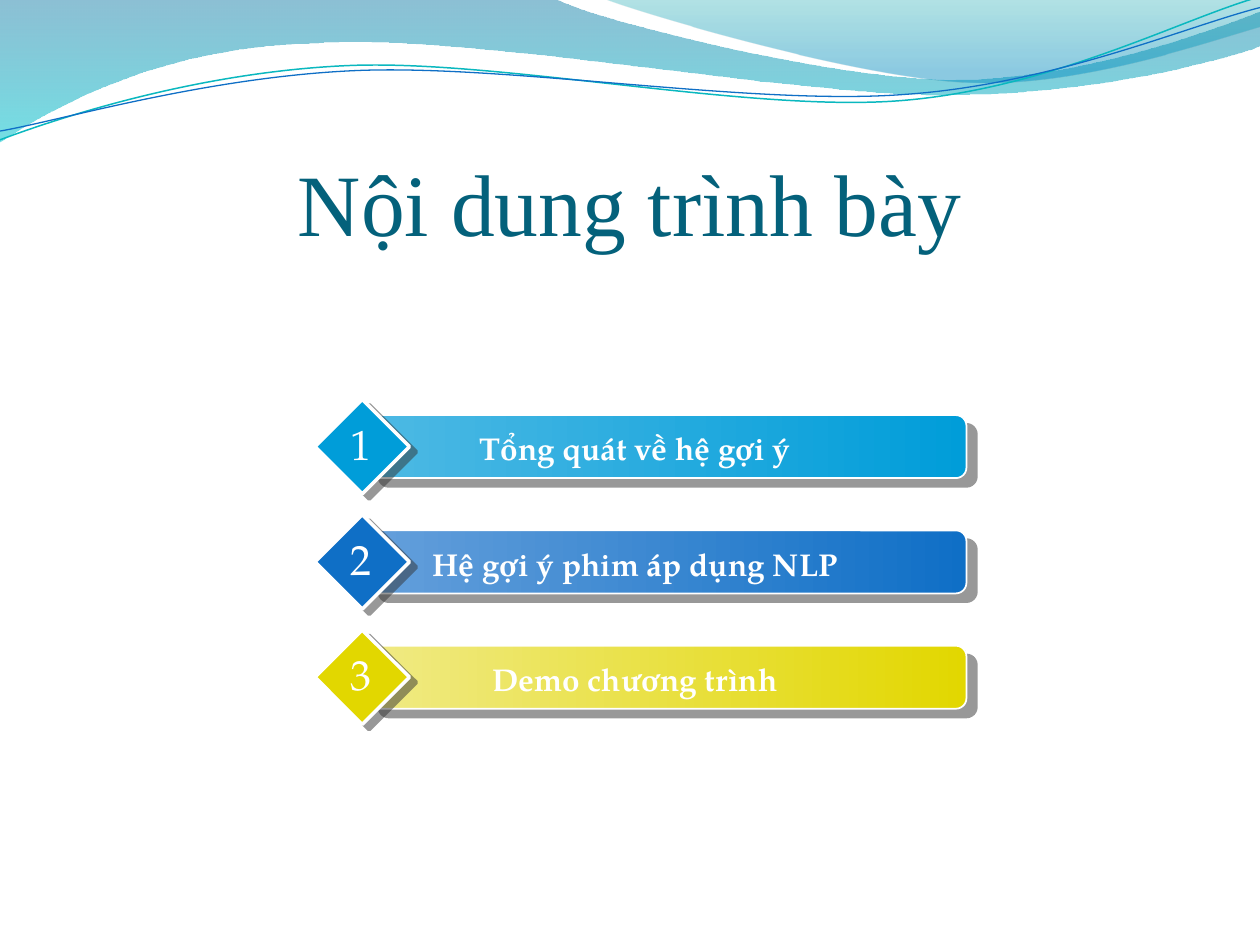
from math import cos, radians, sin
from lxml.etree import SubElement
from pptx import Presentation
from pptx.dml.color import RGBColor
from pptx.enum.shapes import MSO_SHAPE as Shape
from pptx.enum.text import MSO_ANCHOR as Anchor, MSO_AUTO_SIZE as AutoSize, PP_ALIGN as Align
from pptx.oxml.ns import qn
from pptx.util import Inches, Pt

WHITE = RGBColor(0xFF, 0xFF, 0xFF)
TITLE_TEAL = RGBColor(0x04, 0x61, 0x7B)
SKY = RGBColor(0x00, 0x9D, 0xD9)
SKY_LIGHT = RGBColor(0x4D, 0xB9, 0xE4)
BLUE = RGBColor(0x0F, 0x6F, 0xC6)
BLUE_LIGHT = RGBColor(0x64, 0x9F, 0xDB)
YELLOW = RGBColor(0xE2, 0xD7, 0x00)
YELLOW_LIGHT = RGBColor(0xF0, 0xEA, 0x84)
WAVE_NAVY = RGBColor(0x00, 0x74, 0xA1)
WAVE_CYAN = RGBColor(0x00, 0xC6, 0xCF)
WAVE_TEAL = RGBColor(0x00, 0xA1, 0xA9)
WAVE_BLUE = RGBColor(0x00, 0x8B, 0xBF)
LINE_TEAL = RGBColor(0x0A, 0xB8, 0xBF)
HEADING_FONT = "Times New Roman"
LABEL_FONT = "TeX Gyre Pagella"
LINE_TILT = 2.7

deck = Presentation()
deck.slide_width, deck.slide_height = Inches(10), Inches(7.5)
slide = deck.slides.add_slide(deck.slide_layouts[6])


def write_text(text, left, top, width, height, size, parent=slide, color=WHITE,
               font=LABEL_FONT, bold=False, wrap=True, grow=True, anchor=Anchor.TOP):
    """Add a centred one-line text box and return its text frame."""
    frame = parent.shapes.add_textbox(
        Inches(left), Inches(top), Inches(width), Inches(height)).text_frame
    frame.word_wrap = wrap
    frame.auto_size = AutoSize.SHAPE_TO_FIT_TEXT if grow else AutoSize.NONE
    frame.vertical_anchor = anchor
    paragraph = frame.paragraphs[0]
    paragraph.alignment = Align.CENTER
    run = paragraph.add_run()
    run.text = text
    run.font.size, run.font.name, run.font.bold = Pt(size), font, bold
    run.font.color.rgb = color
    return frame


def fill_gradient(shape, stops, angle):
    """Fill a shape with (colour, position, opacity percent) stops."""
    shape.fill.gradient()
    shape.fill.gradient_angle = angle
    for stop, (color, position, _) in zip(shape.fill.gradient_stops, stops):
        stop.color.rgb = color
        stop.position = position
    colors = shape._element.spPr.find(qn("a:gradFill")).iter(qn("a:srgbClr"))
    for rgb, (_, _, opacity) in zip(list(colors), stops):
        if opacity < 100:
            SubElement(rgb, qn("a:alpha"), val=str(opacity * 1000))


# Each wave: start point, then line (x, y) or Bezier (x1, y1, x2, y2, x, y) steps
bands = [
    ((0, 0), [(4.4, -0.01), (4.76, 0.17, 6.64, 0.63, 7.58, 0.63),
              (8.53, 0.63, 9.58, 0.26, 10, 0.09), (10.01, 0.36),
              (9.83, 0.44, 8.7, 0.76, 7.46, 0.75),
              (6.22, 0.75, 3.82, 0.28, 2.57, 0.34),
              (1.29, 0.36, 0.46, 0.83, -0.01, 1.13), (0, 0)],
     [(WAVE_NAVY, 0, 45), (WAVE_CYAN, 1, 55)]),
    ((4.79, -0.01), [(5.09, 0.11, 6.82, 0.62, 7.69, 0.65),
                     (8.56, 0.69, 9.61, 0.32, 10, 0.21), (10, 0), (4.79, -0.01)],
     [(WAVE_TEAL, 0, 30), (WAVE_BLUE, 0.8, 45)]),
]
# Thin lines carry the centre they are tilted about, a colour and a width
threads = [
    ((0, 1.11), [(0.48, 0.93, 1.58, 0.57, 2.77, 0.52),
                 (3.95, 0.47, 5.93, 0.89, 7.13, 0.8),
                 (8.33, 0.71, 9.38, 0.15, 9.98, -0.02)], (4.99, 0.575), LINE_TEAL, 0.85),
    ((0, 1.04), [(0.47, 0.96, 1.64, 0.61, 2.83, 0.56),
                 (4.03, 0.51, 5.97, 0.84, 7.17, 0.75),
                 (8.36, 0.67, 9.41, 0.21, 10, 0.06)], (4.995, 0.59), BLUE, 0.75),
]
thread_group = slide.shapes.add_group_shape()
for start, steps, *style in bands + threads:
    is_band = len(style) == 1
    points = [start] + [pair for step in steps for pair in zip(step[::2], step[1::2])]
    if not is_band:
        (mid_x, mid_y), color, width = style
        c, s = cos(radians(LINE_TILT)), sin(radians(LINE_TILT))
        points = [(mid_x + (x - mid_x) * c - (y - mid_y) * s,
                   mid_y + (x - mid_x) * s + (y - mid_y) * c) for x, y in points]
    points = [(Inches(x), Inches(y)) for x, y in points]
    parent = slide if is_band else thread_group
    builder = parent.shapes.build_freeform(*points[0])
    builder.add_line_segments(points[1:], close=is_band)
    wave = builder.convert_to_shape()
    corners = iter(list(wave._element.iter(qn("a:lnTo"))))
    for step in steps:
        segment = next(corners)
        if len(step) == 6:
            curve = segment.makeelement(qn("a:cubicBezTo"))
            segment.addprevious(curve)
            for corner in (segment, next(corners), next(corners)):
                curve.append(corner[0])
                corner.getparent().remove(corner)
    wave.shadow.inherit = False
    if is_band:
        fill_gradient(wave, style[0], 270)
        wave.line.fill.background()
    else:
        wave.rotation = 360 - LINE_TILT
        wave.fill.background()
        wave.line.color.rgb = color
        wave.line.width = Pt(width)

# The thin lines lie above both bands
slide.shapes._spTree.append(thread_group._element)

title = write_text("Nội dung trình bày", 0.5, 0.765, 9, 1.25, 50, color=TITLE_TEAL,
                   font=HEADING_FONT, grow=False, anchor=Anchor.BOTTOM)
title.margin_left = title.margin_right = title.margin_bottom = 0

topics = [
    ("Tổng quát về hệ gợi ý", SKY, SKY_LIGHT),
    ("Hệ gợi ý phim áp dụng NLP", BLUE, BLUE_LIGHT),
    ("Demo chương trình", YELLOW, YELLOW_LIGHT),
]
FIRST_TOP, LAST_TOP = 3.17, 5
for index, (topic, color, light) in enumerate(topics):
    top = FIRST_TOP + index * (LAST_TOP - FIRST_TOP) / 2
    row = slide.shapes.add_group_shape()
    bar = row.shapes.add_shape(Shape.ROUNDED_RECTANGLE, Inches(2.92), Inches(top + 0.125),
                               Inches(4.75), Inches(0.5))
    fill_gradient(bar, [(light, 0, 100), (color, 1, 100)], 0)
    diamond = row.shapes.add_shape(Shape.DIAMOND, Inches(2.5), Inches(top),
                                   Inches(0.75), Inches(0.75))
    diamond.fill.solid()
    diamond.fill.fore_color.rgb = color
    for shape, border, distance, direction in ((bar, 1, 7.8, 40), (diamond, 2, 5, 37)):
        shape.line.color.rgb = WHITE
        shape.line.width = Pt(border)
        shape.shadow.inherit = False
        effects = shape._element.spPr.find(qn("a:effectLst"))
        shadow = SubElement(effects, qn("a:outerShdw"), blurRad="0", dist=str(Pt(distance)),
                            dir=str(direction * 60000), algn="ctr", rotWithShape="0")
        shade = SubElement(shadow, qn("a:srgbClr"), val="333333")
        SubElement(shade, qn("a:alpha"), val="50000")
    write_text(topic, 3.165, top + 0.19, 3.75, 0.4, 18, parent=row, bold=True)
    write_text(str(index + 1), 2.67, top + 0.1, 0.39, 0.5, 24, parent=row, wrap=False)

deck.save("out.pptx")
